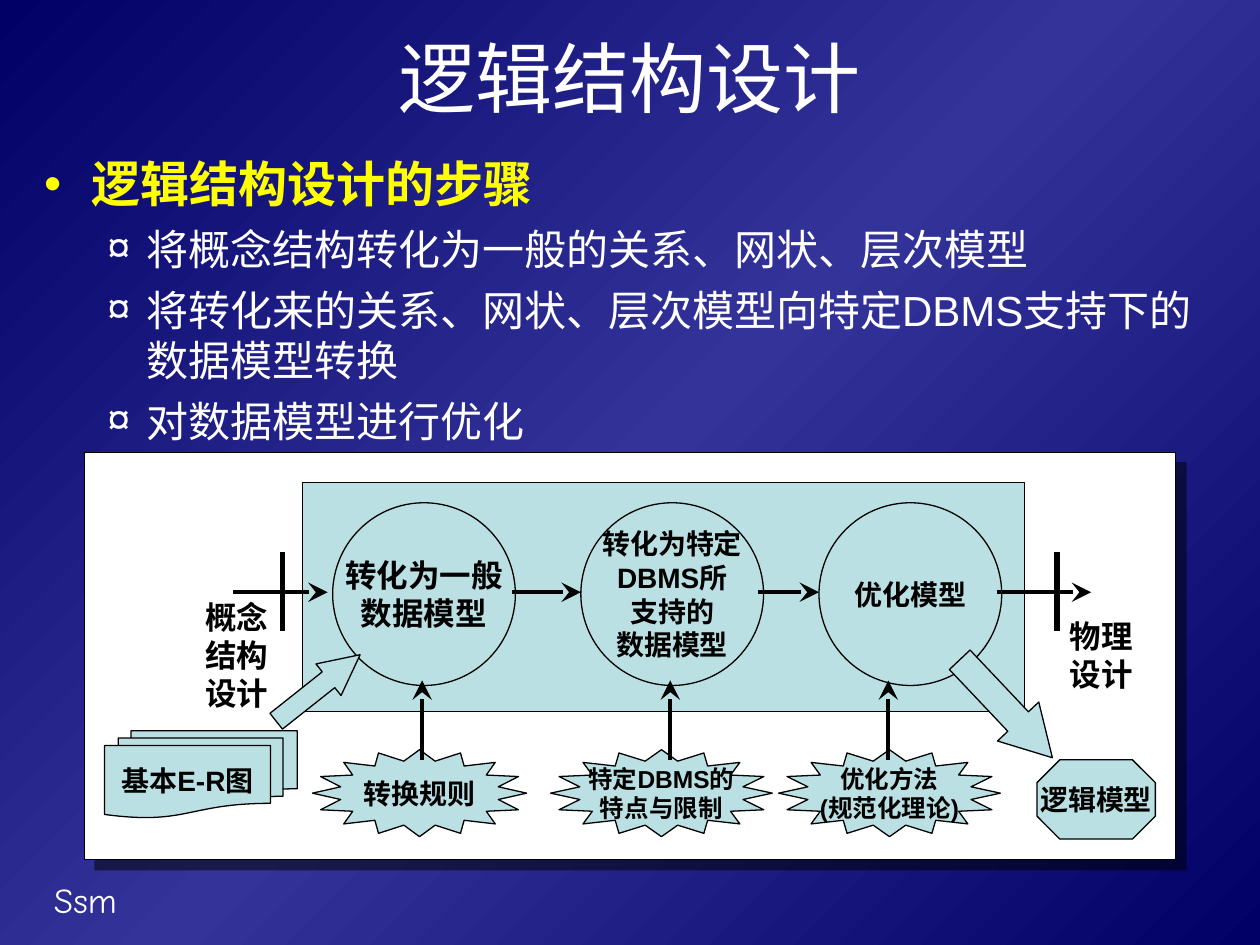
from lxml.etree import SubElement
from copy import deepcopy
from pptx import Presentation
from pptx.dml.color import RGBColor
from pptx.enum.shapes import MSO_CONNECTOR, MSO_SHAPE
from pptx.enum.text import MSO_ANCHOR, MSO_AUTO_SIZE, PP_ALIGN
from pptx.oxml.ns import qn
from pptx.util import Inches, Pt

PALE, BLACK, WHITE, YELLOW = "BBE0E3", "000000", "FFFFFF", "FFFF00"
NAVY, INDIGO = "000066", "333399"


def rgb(value):
    return RGBColor.from_string(value)


def box(*lengths):
    return [Inches(v) for v in lengths]


def apply(obj, values):
    for name, value in values.items():
        setattr(obj, name, value)


def set_background(s):
    fill = s.background.fill
    fill.gradient()
    fill.gradient_angle = 315
    for stop in fill.gradient_stops:
        stop.color.rgb = rgb(NAVY)
    stops = s.background._cSld.find(".//" + qn("a:gsLst"))
    stops.insert(1, deepcopy(stops[0]))
    for stop, color, pos in zip(fill.gradient_stops, (NAVY, INDIGO, NAVY), (0, 0.5, 1)):
        stop.color.rgb = rgb(color)
        stop.position = pos


def write(tf, lines, size, color=BLACK, bold=True, align=PP_ALIGN.CENTER, name="Arial"):
    for i, line in enumerate(lines):
        p = tf.paragraphs[0] if i == 0 else tf.add_paragraph()
        p.alignment = align
        r = p.add_run()
        r.text = line
        apply(r.font, {"size": Pt(size), "bold": bold, "name": name})
        r.font.color.rgb = rgb(color)


def add_text(s, at, text, size, **style):
    tf = s.shapes.add_textbox(*box(*at)).text_frame
    tf.word_wrap = True
    write(tf, [text], size, align=PP_ALIGN.LEFT, **style)


def add_shape(s, kind, at, lines=(), size=16, fill=PALE, rotation=0, adj=()):
    sp = s.shapes.add_shape(kind, *box(*at))
    sp.shadow.inherit = False
    sp.rotation = rotation
    sp.fill.solid()
    sp.fill.fore_color.rgb = rgb(fill)
    sp.line.color.rgb = rgb(BLACK)
    sp.line.width = Pt(0.75)
    for i, value in enumerate(adj):
        sp.adjustments[i] = value
    if lines:
        apply(sp.text_frame, {"word_wrap": False, "vertical_anchor": MSO_ANCHOR.MIDDLE})
        write(sp.text_frame, lines, size)
    return sp


def add_shadow(sp):
    effects = sp._element.spPr.find(qn("a:effectLst"))
    shadow = SubElement(effects, qn("a:outerShdw"), dist=str(Pt(8.5)), dir="2700000", rotWithShape="0")
    color = SubElement(shadow, qn("a:srgbClr"), val=BLACK)
    SubElement(color, qn("a:alpha"), val="50000")


def add_line(s, ends, width=2.25, arrow=True):
    line = s.shapes.add_connector(MSO_CONNECTOR.STRAIGHT, *box(*ends))
    line.line.color.rgb = rgb(BLACK)
    line.line.width = Pt(width)
    if arrow:
        SubElement(line.line._get_or_add_ln(), qn("a:tailEnd"), type="stealth", w="lg", len="lg")
    SubElement(line._element.spPr, qn("a:effectLst"))


def add_bullet(p, char, color, margin, indent):
    pPr = p._p.get_or_add_pPr()
    pPr.set("marL", str(Inches(margin)))
    pPr.set("indent", str(Inches(indent)))
    SubElement(SubElement(pPr, qn("a:buClr")), qn("a:srgbClr"), val=color)
    SubElement(pPr, qn("a:buFont"), typeface="Arial")
    SubElement(pPr, qn("a:buChar"), char=char)


def place(sp, at, anchor):
    apply(sp, dict(zip(("left", "top", "width", "height"), box(*at))))
    apply(sp.text_frame, {"auto_size": MSO_AUTO_SIZE.NONE, "vertical_anchor": anchor, "word_wrap": True})
    return sp.text_frame


def fill_placeholders(s):
    title = place(s.shapes.title, (0.5, 0.17, 9, 0.87), MSO_ANCHOR.MIDDLE)
    write(title, ["逻辑结构设计"], 44, WHITE, False)

    tf = place(s.placeholders[1], (0.25, 1.17, 9.58, 2.43), MSO_ANCHOR.TOP)
    steps = ["将概念结构转化为一般的关系、网状、层次模型",
             "将转化来的关系、网状、层次模型向特定DBMS支持下的数据模型转换",
             "对数据模型进行优化"]
    for i, text in enumerate(["逻辑结构设计的步骤"] + steps):
        head = i == 0
        p = tf.paragraphs[0] if head else tf.add_paragraph()
        color = YELLOW if head else WHITE
        p.level = 0 if head else 1
        add_bullet(p, *(("•", color, 0.38, -0.38) if head else ("¤", color, 0.81, -0.31)))
        p.space_before = Pt(0 if head else 6)
        r = p.add_run()
        r.text = text
        apply(r.font, {"size": Pt(28 if head else 24), "bold": head, "name": "Arial"})
        r.font.color.rgb = rgb(color)


def add_diagram(s):
    add_shadow(add_shape(s, MSO_SHAPE.RECTANGLE, (0.67, 3.59, 8.66, 3.23), fill=WHITE))
    add_shape(s, MSO_SHAPE.RECTANGLE, (2.4, 3.83, 5.73, 1.82))

    stages = [(2.64, ["转化为一般", "数据模型"], 18),
              (4.61, ["转化为特定", "DBMS所", "支持的", "数据模型"], 16),
              (6.5, ["优化模型"], 16)]
    for left, lines, size in stages:
        add_shape(s, MSO_SHAPE.OVAL, (left, 3.99, 1.45, 1.45), lines, size)

    inputs = [(2.48, 1.7, ["转换规则"], 16),
              (4.37, 1.76, ["特定DBMS的", "特点与限制"], 14),
              (6.18, 1.76, ["优化方法", "(规范化理论)"], 14)]
    for left, width, lines, size in inputs:
        add_shape(s, MSO_SHAPE.STAR_16_POINT, (left, 5.95, width, 0.69), lines, size)

    for start, end in [(1.85, 2.6), (4.06, 4.61), (6.02, 6.5), (7.91, 8.66)]:
        add_line(s, (start, 4.7, end, 4.7))
    for x in (2.24, 8.39):
        add_line(s, (x, 4.38, x, 5.01), 3, False)
    add_text(s, (1.53, 4.7, 0.88, 1), "概念结构设计", 18)
    add_text(s, (8.39, 4.85, 0.76, 0.7), "物理设计", 18)
    for x in (3.35, 5.32, 7.05):
        add_line(s, (x, 6.03, x, 5.4))

    add_shape(s, MSO_SHAPE.FLOWCHART_MULTIDOCUMENT, (0.83, 5.8, 1.53, 0.69), ["基本E-R图"])
    add_shape(s, MSO_SHAPE.LEFT_ARROW, (2.1, 5.3, 0.85, 0.32), rotation=141.6, adj=(0.5, 1))
    add_shape(s, MSO_SHAPE.LEFT_ARROW, (7.45, 5.4, 1.07, 0.45), rotation=226.6, adj=(0.5, 0.88))
    add_shape(s, MSO_SHAPE.OCTAGON, (8.23, 6.03, 0.94, 0.63), ["逻辑模型"], adj=(0.29,))


def main():
    prs = Presentation()
    prs.slide_width, prs.slide_height = box(10, 7.5)
    s = prs.slides.add_slide(prs.slide_layouts[1])
    set_background(s)
    add_text(s, (0.33, 6.92, 2.08, 0.44), "Ssm", 20, color=WHITE, bold=False, name="Comic Neue")
    fill_placeholders(s)
    add_diagram(s)
    prs.save("out.pptx")


if __name__ == "__main__":
    main()
